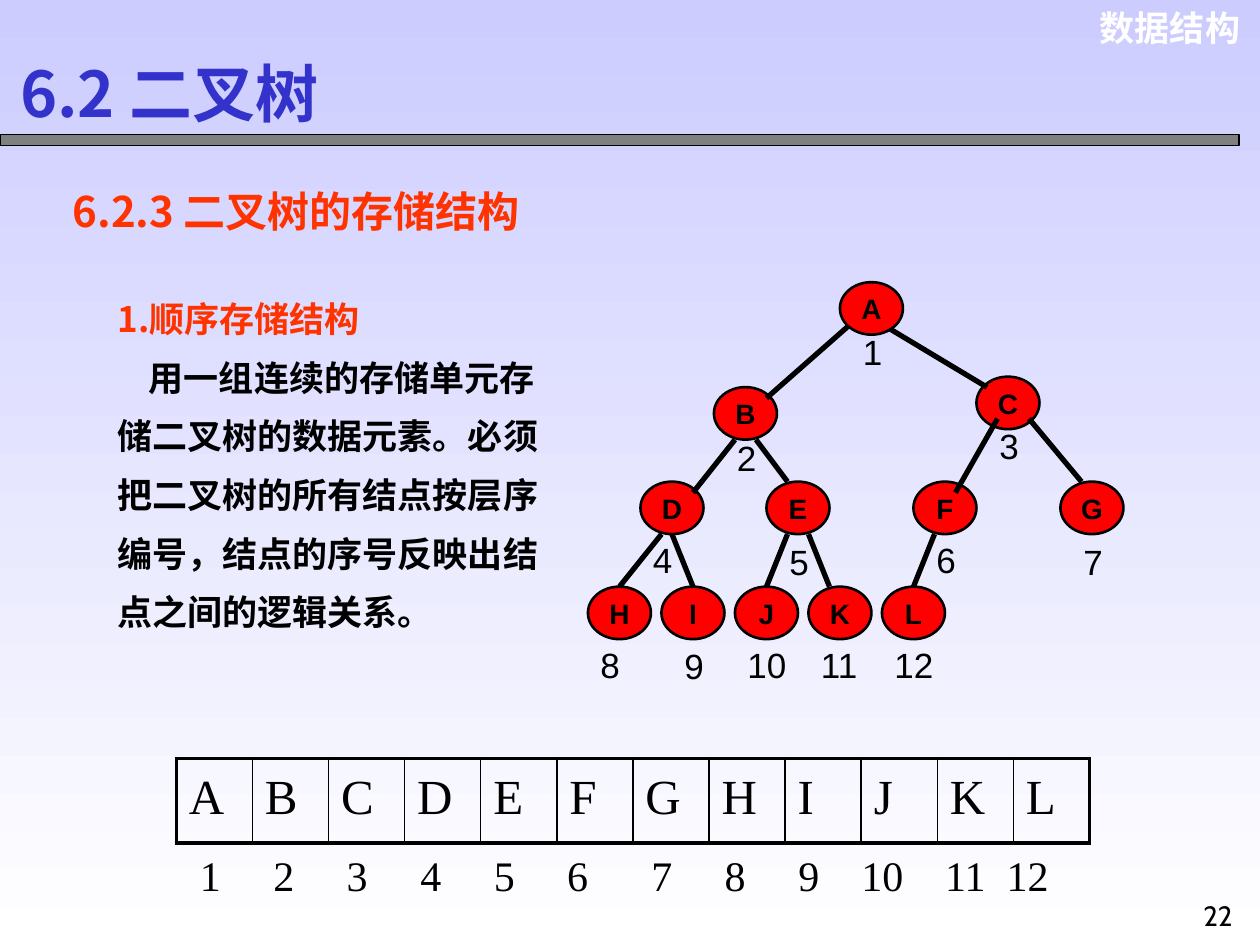
import lxml.etree
import pptx
import pptx.dml.color
import pptx.enum.shapes
import pptx.enum.text
import pptx.oxml
import pptx.oxml.ns
import pptx.util

Pt = pptx.util.Pt
ALIGN = pptx.enum.text.PP_ALIGN
ANCHOR = pptx.enum.text.MSO_ANCHOR
SHAPES = pptx.enum.shapes.MSO_SHAPE

COLORS = {
    "sky": "CCCCFF", "white": "FFFFFF", "black": "000000", "gray": "808080",
    "orange": "FF3300", "red": "FF0000", "blue": "3333CC",
}
CJK = "Noto Sans CJK SC"
SERIF = "Times New Roman"

NODE_WIDTH, NODE_HEIGHT = 36, 30
LEVELS = {"root": 161.25, "left": 221.25, "right": 215.25, "third": 275.25, "leaf": 335.25}
NODES = [
    ("A", 480, "root", 6, 24), ("B", 408, "left", 6, 24.5), ("C", 558, "right", 6, 24),
    ("D", 366, "third", 0, 28.75), ("E", 438, "third", 6, 30),
    ("F", 522, "third", 6, 28.75), ("G", 606, "third", 6, 30),
    ("H", 336, "leaf", 0, 28.75), ("I", 378, "leaf", 6, 29.75),
    ("J", 420, "leaf", 0, 28.75), ("K", 462, "leaf", 0, 28.75), ("L", 504, "leaf", 0, 28.75),
]
EDGES = [
    (486, 185.25, 438, 227.5), (504, 185.25, 564, 221.25),
    (588, 239.25, 618, 275.25), (570, 239.25, 546, 281.5),
    (432, 251.25, 450, 275.25), (420, 251.25, 396, 281.5),
] + [
    (start, 305.25, end, 335.25)
    for start, end in ((378, 354), (384, 396), (450, 438), (462, 474), (534, 522))
]
INDEX_STOPS = [42, 84, 126, 168, 210, 258, 300, 342, 378, 426, 461]


def color(name):
    return pptx.dml.color.RGBColor.from_string(COLORS[name])


def set_attributes(target, values):
    for name, value in values.items():
        setattr(target, name, value)


def format_paragraph(paragraph, text, size, font, color_name, bold=False, **values):
    paragraph.text = text
    set_attributes(paragraph, values)
    for run in paragraph.runs:
        set_attributes(run.font, {"size": Pt(size), "name": font, "bold": bold})
        run.font.color.rgb = color(color_name)
        east_asian = lxml.etree.SubElement(run.font._element, pptx.oxml.ns.qn("a:ea"))
        east_asian.set("typeface", font)


def add_text(slide, box, text, size, font, color_name="black", bold=False, **values):
    shape = slide.shapes.add_textbox(*map(Pt, box))
    shape.text_frame.word_wrap = True
    format_paragraph(shape.text_frame.paragraphs[0], text, size, font, color_name, bold, **values)
    return shape.text_frame


def add_filled_shape(slide, kind, box, fill, line_width):
    shape = slide.shapes.add_shape(kind, *map(Pt, box))
    shape.shadow.inherit = False
    shape.fill.solid()
    shape.fill.fore_color.rgb = color(fill)
    shape.line.color.rgb = color("black")
    shape.line.width = Pt(line_width)
    return shape


def add_node(slide, name, left, level):
    box = (left, LEVELS[level], NODE_WIDTH, NODE_HEIGHT)
    frame = add_filled_shape(slide, SHAPES.OVAL, box, "red", 1.5).text_frame
    set_attributes(frame, {"word_wrap": False, "vertical_anchor": ANCHOR.MIDDLE})
    format_paragraph(frame.paragraphs[0], name, 16, "Arial", "black", True, alignment=ALIGN.CENTER)


def add_edge(slide, points):
    kind = pptx.enum.shapes.MSO_CONNECTOR.STRAIGHT
    connector = slide.shapes.add_connector(kind, *map(Pt, points))
    connector.line.color.rgb = color("black")
    connector.line.width = Pt(3)
    properties = connector._element.spPr
    lxml.etree.SubElement(properties, pptx.oxml.ns.qn("a:effectLst"))


def add_tree(slide):
    for name, left, level, _, _ in NODES[1:]:
        add_node(slide, name, left, level)
    for points in EDGES:
        add_edge(slide, points)
    add_node(slide, *NODES[0][:3])
    for number, (_, left, level, shift, drop) in enumerate(NODES, 1):
        box = (left + shift, LEVELS[level] + drop, 48, 31.5)
        add_text(slide, box, str(number), 20, "Arial")


def add_border(cell, side, width):
    cell._tc.get_or_add_tcPr().append(pptx.oxml.parse_xml(
        f'<a:ln{side} {pptx.oxml.ns.nsdecls("a")} w="{Pt(width)}"><a:solidFill>'
        f'<a:srgbClr val="{COLORS["black"]}"/></a:solidFill></a:ln{side}>'
    ))


def add_array(slide):
    count = len(NODES)
    box = (100.75, 433.5, 43.5 * count, 48.25)
    table = slide.shapes.add_table(1, count, *map(Pt, box)).table
    set_attributes(table, {"first_row": False, "horz_banding": False})
    for column, node in enumerate(NODES):
        table.columns[column].width = Pt(43.5)
        cell = table.cell(0, column)
        set_attributes(cell, {"margin_top": Pt(7), "margin_bottom": Pt(3.6)})
        widths = {
            "L": 2.25 if column == 0 else 1,
            "R": 2.25 if column == count - 1 else 1,
            "T": 2.25,
            "B": 2.25,
        }
        for side, width in widths.items():
            add_border(cell, side, width)
        cell.fill.background()
        format_paragraph(cell.text_frame.paragraphs[0], node[0], 28, SERIF, "black")


def add_array_index(slide):
    text = "\t".join(str(number) for number in range(1, len(NODES) + 1))
    frame = add_text(slide, (95, 481.75, 535, 36), "", 24, SERIF)
    frame.margin_left = Pt(19.2)
    paragraph = frame.paragraphs[0]
    properties = paragraph._p.get_or_add_pPr()
    stops = lxml.etree.SubElement(properties, pptx.oxml.ns.qn("a:tabLst"))
    for position in INDEX_STOPS:
        stop = lxml.etree.SubElement(stops, pptx.oxml.ns.qn("a:tab"))
        stop.set("pos", str(Pt(position)))
        stop.set("algn", "l")
    format_paragraph(paragraph, text, 24, SERIF, "black")


def add_title(slide):
    title = slide.shapes.title
    box = {"left": Pt(4.25), "top": Pt(32.5), "width": Pt(230.5), "height": Pt(41)}
    set_attributes(title, box)
    title.text_frame.vertical_anchor = ANCHOR.MIDDLE
    paragraph = title.text_frame.paragraphs[0]
    format_paragraph(paragraph, "6.2 二叉树", 36, CJK, "blue", True, alignment=ALIGN.LEFT)


def add_explanation(slide):
    add_text(slide, (34.5, 101.5, 273, 68), "6.2.3 二叉树的存储结构", 24, CJK,
             "orange", True, line_spacing=Pt(29.5))
    frame = add_text(slide, (60, 157, 257.75, 209), "1.顺序存储结构", 20, CJK,
                     "orange", True, line_spacing=Pt(33.5))
    paragraph = frame.add_paragraph()
    format_paragraph(
        paragraph,
        "用一组连续的存储单元存储二叉树的数据元素。必须把二叉树的所有结点按层序编号，"
        "结点的序号反映出结点之间的逻辑关系。",
        20, CJK, "black", True, line_spacing=Pt(33.5),
    )
    paragraph._p.get_or_add_pPr().set("indent", str(Pt(18)))


def set_background(slide):
    fill = slide.background.fill
    fill.gradient()
    fill.gradient_angle = 270
    for stop, name, position in zip(fill.gradient_stops, ("sky", "white"), (0, 1)):
        stop.color.rgb = color(name)
        stop.position = position


def main():
    presentation = pptx.Presentation()
    set_attributes(presentation, {"slide_width": Pt(720), "slide_height": Pt(540)})
    slide = presentation.slides.add_slide(presentation.slide_layouts[5])
    set_background(slide)
    add_text(slide, (617, 0, 98.75, 31.5), "数据结构", 20, "Arial", "white", True,
             alignment=ALIGN.RIGHT)
    add_filled_shape(slide, SHAPES.RECTANGLE, (0, 77, 708, 6), "gray", 0.75)
    add_title(slide)
    add_explanation(slide)
    add_array(slide)
    add_array_index(slide)
    add_tree(slide)
    add_text(slide, (678, 510, 36, 30), "22", 16, "Cabin", alignment=ALIGN.CENTER)
    presentation.save("out.pptx")


if __name__ == "__main__":
    main()
